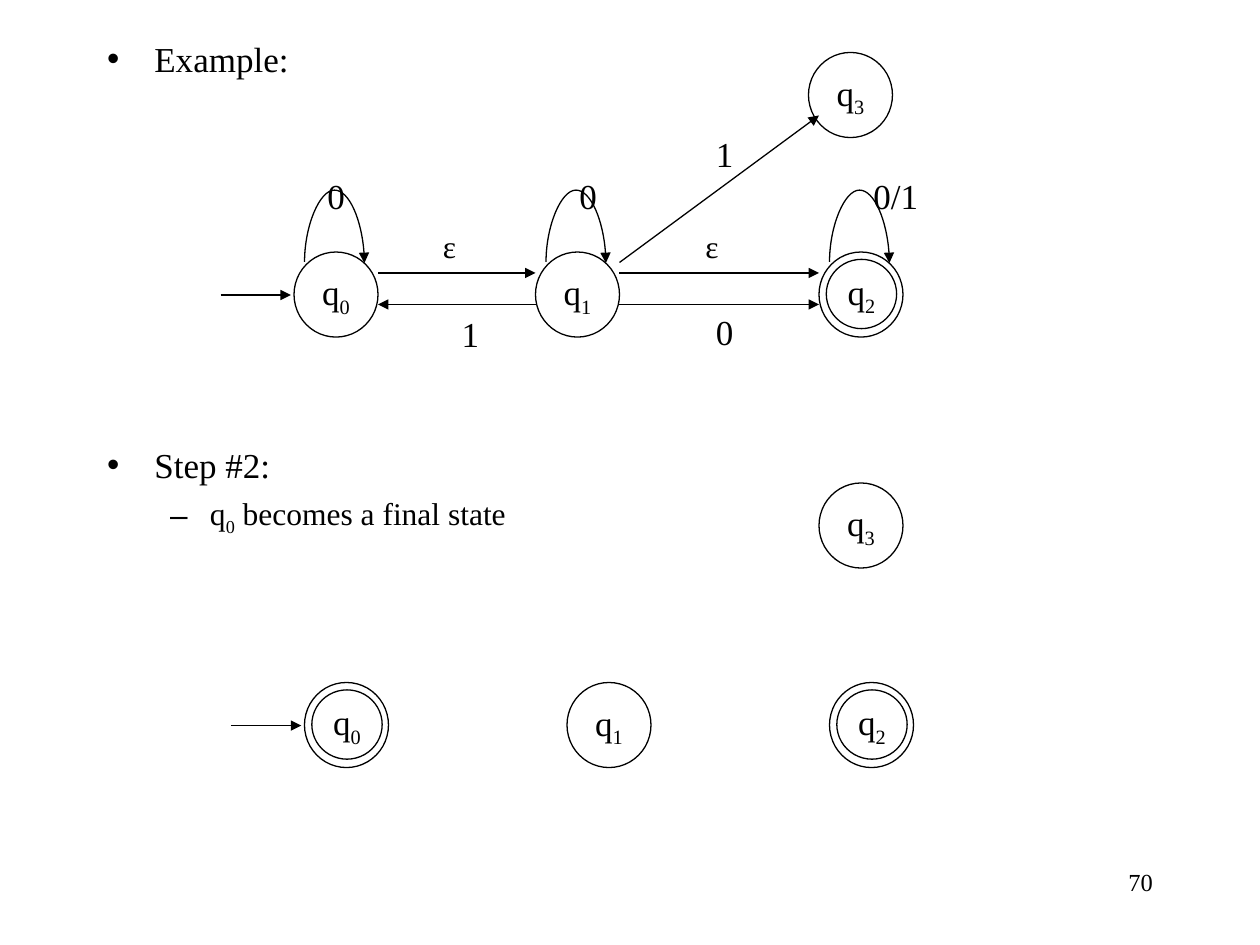
from dataclasses import dataclass

from lxml import etree
from pptx import Presentation
from pptx.dml.color import RGBColor
from pptx.enum.shapes import MSO_CONNECTOR, MSO_SHAPE
from pptx.enum.text import MSO_ANCHOR, MSO_AUTO_SIZE, PP_ALIGN
from pptx.oxml.ns import qn
from pptx.util import Pt

PX = 7620
OVAL = MSO_SHAPE.OVAL
LINE, CURVE = MSO_CONNECTOR.STRAIGHT, MSO_CONNECTOR.CURVE
LEFT, MID, RIGHT = PP_ALIGN.LEFT, PP_ALIGN.CENTER, PP_ALIGN.RIGHT
MIDDLE = MSO_ANCHOR.MIDDLE
FIXED, GROW = MSO_AUTO_SIZE.NONE, MSO_AUTO_SIZE.SHAPE_TO_FIT_TEXT


@dataclass(frozen=True)
class Theme:
    """Colours, font and point sizes of the slide."""
    ink: RGBColor = RGBColor(0, 0, 0)
    face: str = "Times New Roman"
    main: int = 20
    sub: int = 18
    page: int = 14
    line: float = 0.75


THEME = Theme()
WIDE, HIGH = 80, 81
ROW, BASE = 240, 650
TOP_STATES = [(280, ROW, "0", False), (510, ROW, "1", False),
              (780, ROW, "2", True), (770, 50, "3", False)]
LOW_STATES = [(290, BASE, "0", True), (540, BASE, "1", False),
              (790, BASE, "2", True), (780, 460, "3", False)]
ARROWS = [(210, 281, 277, 281), (360, 260, 510, 260), (510, 290, 360, 290),
          (590, 260, 780, 260), (590, 290, 780, 290), (590, 250, 780, 110),
          (220, 691, 287, 691)]
LABELS = [("0", 300, 160), ("0", 540, 160), ("1", 428, 292),
          ("0", 670, 290), ("1", 670, 120)]
ITEMS = [("Example:", 0, 45, -45, THEME.main, 5),
         ("Step #2:", 0, 45, -45, THEME.main, 208),
         ("q_0_ becomes a final state", 1, 98, -38, THEME.sub, 4.5)]


def px(*nums):
    """Turn px lengths into EMU."""
    return [round(n * PX) for n in nums]


def write(para, text, size, align=LEFT):
    """Fill a paragraph; parts between underscores are subscripts."""
    para.alignment = align
    font = para.font
    font.name, font.size, font.color.rgb = THEME.face, Pt(size), THEME.ink
    for i, part in enumerate(text.split("_")):
        if part:
            run = para.add_run()
            run.text = part
            if i % 2:
                run._r.get_or_add_rPr().set("baseline", "-25000")


def label(slide, text, x, y, w=41, h=53, size=THEME.main, align=LEFT):
    """Add a short text box; all but right-aligned ones grow to fit."""
    frame = slide.shapes.add_textbox(*px(x, y, w, h)).text_frame
    frame.word_wrap = align == RIGHT
    frame.auto_size = FIXED if align == RIGHT else GROW
    write(frame.paragraphs[0], text, size, align)


def ring(slide, x, y, w=WIDE, h=HIGH, text=""):
    """Add an outlined ellipse with an optional centred text."""
    shape = slide.shapes.add_shape(OVAL, *px(x, y, w, h))
    shape.shadow.inherit = False
    shape.fill.background()
    shape.line.color.rgb = THEME.ink
    shape.line.width = Pt(THEME.line)
    if text:
        frame = shape.text_frame
        frame.word_wrap = False
        frame.vertical_anchor = MIDDLE
        write(frame.paragraphs[0], text, THEME.main, MID)


def state(slide, x, y, num, final):
    """Add an automaton state, with a double ring when final."""
    name = f"q_{num}_"
    if final:
        ring(slide, x + 7, y + 7, 67, 66, name)
        ring(slide, x, y)
    else:
        ring(slide, x, y, text=name)


def arrow(slide, x1, y1, x2, y2, kind=LINE):
    """Add a connector that ends in a triangle."""
    link = slide.shapes.add_connector(kind, *px(x1, y1, x2, y2))
    link.line.color.rgb = THEME.ink
    link.line.width = Pt(THEME.line)
    props = link._element.spPr
    etree.SubElement(props.find(qn("a:ln")), qn("a:tailEnd"), type="triangle")
    etree.SubElement(props, qn("a:effectLst"))
    return props


def loop(slide, x, y, span=57, rise=69):
    """Add an arc from a state back to itself, as a turned connector."""
    mid, top = x + 10 + span / 2, y + 10 - span / 2
    props = arrow(slide, mid + 0.5, top, mid - 0.5, top + span, CURVE)
    props.find(qn("a:xfrm")).set("rot", "16200000")
    shape = props.find(qn("a:prstGeom"))
    guides = shape.find(qn("a:avLst"))
    if guides is None:
        guides = etree.SubElement(shape, qn("a:avLst"))
    etree.SubElement(guides, qn("a:gd"), name="adj1", fmla=f"val {-rise * 100000}")


def outline(slide):
    """Fill the body placeholder with the bulleted steps."""
    body = slide.placeholders[1]
    body.left, body.top, body.width, body.height = px(90, 30, 1020, 830)
    frame = body.text_frame
    frame.auto_size = FIXED
    for i, (text, level, left, hang, size, gap) in enumerate(ITEMS):
        para = frame.add_paragraph() if i else frame.paragraphs[0]
        para.level = level
        props = para._p.get_or_add_pPr()
        props.set("marL", str(left * PX))
        props.set("indent", str(hang * PX))
        etree.SubElement(props, qn("a:buChar"), char="–" if level else "•")
        para.space_before = Pt(gap)
        write(para, text, size)


def main():
    """Build the slide and save it."""
    deck = Presentation()
    deck.slide_width, deck.slide_height = px(1200, 900)
    slide = deck.slides.add_slide(deck.slide_layouts[1])
    title = slide.shapes.title._element
    title.getparent().remove(title)
    outline(slide)
    for spot in TOP_STATES + LOW_STATES:
        state(slide, *spot)
    for x, y, *_ in TOP_STATES[:3]:
        loop(slide, x, y)
    for ends in ARROWS:
        arrow(slide, *ends)
    for text, x, y in LABELS:
        label(slide, text, x, y)
    for x in (410, 660):
        label(slide, "ε", x, 210, 40, 48, THEME.sub)
    label(slide, "0/1", 820, 160, 70)
    label(slide, "70", 860, 820, 250, 60, THEME.page, RIGHT)
    deck.save("out.pptx")


if __name__ == "__main__":
    main()
